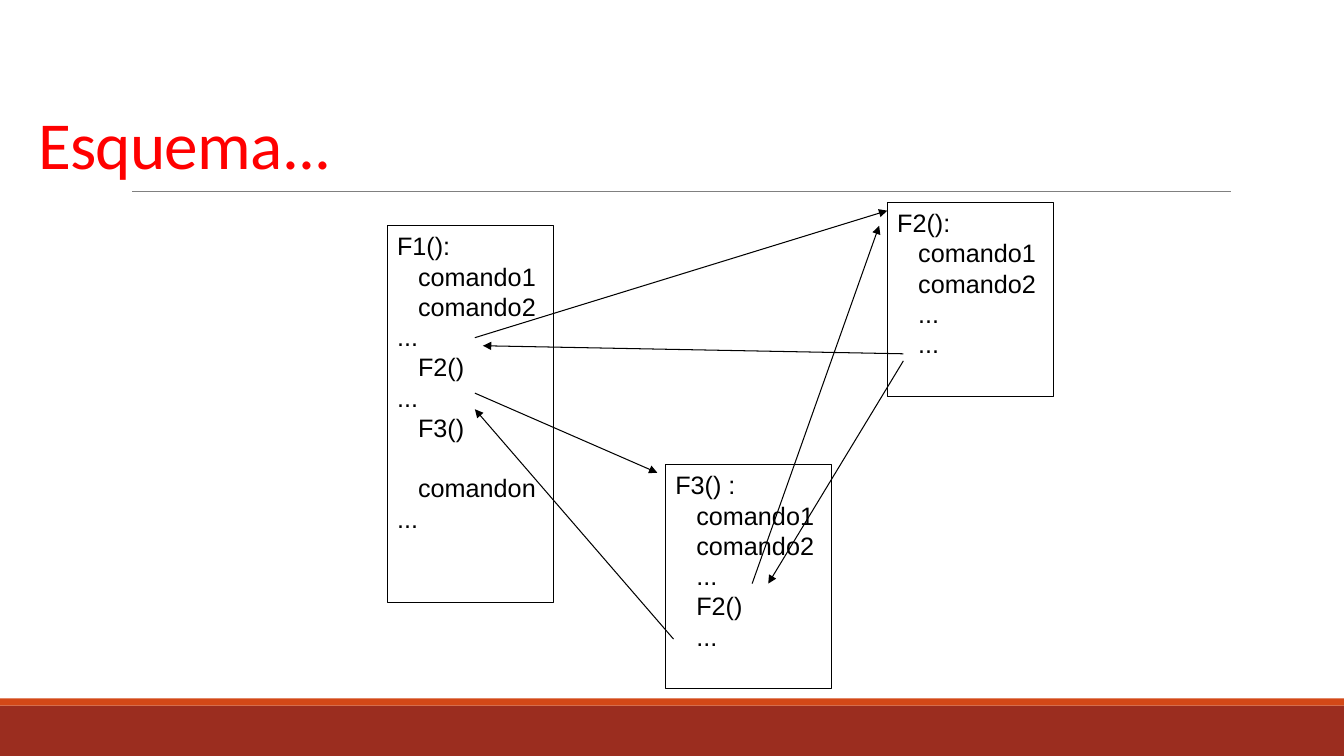
import pptx
import pptx.util
import pptx.dml.color
import pptx.enum.shapes
import pptx.enum.text
import lxml.etree
from dataclasses import dataclass
from pptx.util import Inches


@dataclass(frozen=True)
class Theme:
    """Colours, fonts and type sizes of the slide."""
    title_color: str = "FF0000"
    ink: str = "000000"
    rule: str = "808080"
    footer: str = "9B2D1F"
    accent: str = "D34817"
    title_font: str = "Calibri"
    code_font: str = "Arial"
    title_size: float = 48
    code_size: float = 18
    line_pitch: float = 21.6
    indent: float = 15


THEME = Theme()
TITLE = "Esquema..."
BOX_WIDTH = 1.65

# Each function: left, top, height, then lines of (indent level, text, blank lines before)
FUNCTIONS = [
    (3.84, 2.24, 3.74, [
        (0, "F1():", 0), (1, "comando1", 0), (1, "comando2", 0), (0, "...", 0),
        (1, "F2()", 0), (0, "...", 0), (1, "F3()", 0), (1, "comandon", 1),
        (0, "...", 0)]),
    (8.8, 2.01, 1.92, [
        (0, "F2():", 0), (1, "comando1", 0), (1, "comando2", 0), (1, "...", 0),
        (1, "...", 0)]),
    (6.6, 4.61, 2.22, [
        (0, "F3() :", 0), (1, "comando1", 0), (1, "comando2", 0), (1, "...", 0),
        (1, "F2()", 0), (1, "...", 0)]),
]

# Calls and returns between functions: start, end
JUMPS = [
    ((4.71, 3.35), (8.8, 2.09)),
    ((8.96, 3.51), (4.79, 3.43)),
    ((4.71, 3.9), (6.52, 4.69)),
    ((6.68, 6.34), (4.71, 4.06)),
    ((7.46, 5.79), (8.72, 2.24)),
    ((8.96, 3.58), (7.62, 5.79)),
]


def rgb(color):
    """Turn a hex string into a colour."""
    return pptx.dml.color.RGBColor.from_string(color)


def add_box(page, left, top, width, height, fill=None, line=None):
    """Add a plain rectangle with an optional fill and outline."""
    box = page.shapes.add_shape(
        pptx.enum.shapes.MSO_SHAPE.RECTANGLE,
        Inches(left), Inches(top), Inches(width), Inches(height))
    box.shadow.inherit = False
    if fill:
        box.fill.solid()
        box.fill.fore_color.rgb = rgb(fill)
    else:
        box.fill.background()
    if line:
        box.line.color.rgb = rgb(line)
        box.line.width = pptx.util.Pt(0.75)
    else:
        box.line.fill.background()
    return box


def style_font(para, name, size, color):
    """Set the font of a whole paragraph."""
    para.font.name = name
    para.font.size = pptx.util.Pt(size)
    para.font.color.rgb = rgb(color)


def add_title(page):
    """Add the slide title, resting on the rule."""
    box = page.shapes.add_textbox(
        Inches(0.28), Inches(0.11), Inches(3.34), Inches(1.76))
    frame = box.text_frame
    frame.word_wrap = True
    frame.vertical_anchor = pptx.enum.text.MSO_ANCHOR.BOTTOM
    para = frame.paragraphs[0]
    para.line_spacing = 0.85
    span = para.add_run()
    span.text = TITLE
    style_font(para, THEME.title_font, THEME.title_size, THEME.title_color)
    span.font._element.set("spc", "-50")


def add_function(page, left, top, height, lines):
    """Add a box that lists the commands of one function."""
    box = add_box(page, left, top, BOX_WIDTH, height, line=THEME.ink)
    frame = box.text_frame
    frame.word_wrap = True
    frame.vertical_anchor = pptx.enum.text.MSO_ANCHOR.TOP
    for index, (level, text, blanks) in enumerate(lines):
        para = frame.add_paragraph() if index else frame.paragraphs[0]
        para.text = text
        para.alignment = pptx.enum.text.PP_ALIGN.LEFT
        para.line_spacing = pptx.util.Pt(THEME.line_pitch)
        para.space_before = pptx.util.Pt(blanks * THEME.line_pitch)
        style_font(para, THEME.code_font, THEME.code_size, THEME.ink)
        para._p.get_or_add_pPr().set(
            "marL", str(pptx.util.Pt(level * THEME.indent)))


def add_line(page, start, end, color, width, arrow=False):
    """Add a straight line, with an arrowhead at its end if asked."""
    line = page.shapes.add_connector(
        pptx.enum.shapes.MSO_CONNECTOR.STRAIGHT,
        *(Inches(value) for value in start + end))
    line.line.color.rgb = rgb(color)
    line.line.width = pptx.util.Pt(width)
    properties = line._element.spPr
    if arrow:
        outline = line.line._get_or_add_ln()
        lxml.etree.SubElement(
            outline, pptx.oxml.ns.qn("a:tailEnd"), type="triangle")
    lxml.etree.SubElement(properties, pptx.oxml.ns.qn("a:effectLst"))


deck = pptx.Presentation()
deck.slide_width, deck.slide_height = Inches(13.33), Inches(7.5)
page = deck.slides.add_slide(deck.slide_layouts[6])

add_box(page, 0, 7, 13.33, 0.5, fill=THEME.footer)
add_box(page, 0, 6.93, 13.33, 0.07, fill=THEME.accent)
add_line(page, (1.31, 1.9), (12.21, 1.9), THEME.rule, 0.5)
add_title(page)
for function in FUNCTIONS:
    add_function(page, *function)
for start, end in JUMPS:
    add_line(page, start, end, THEME.ink, 0.75, arrow=True)

deck.save("out.pptx")
